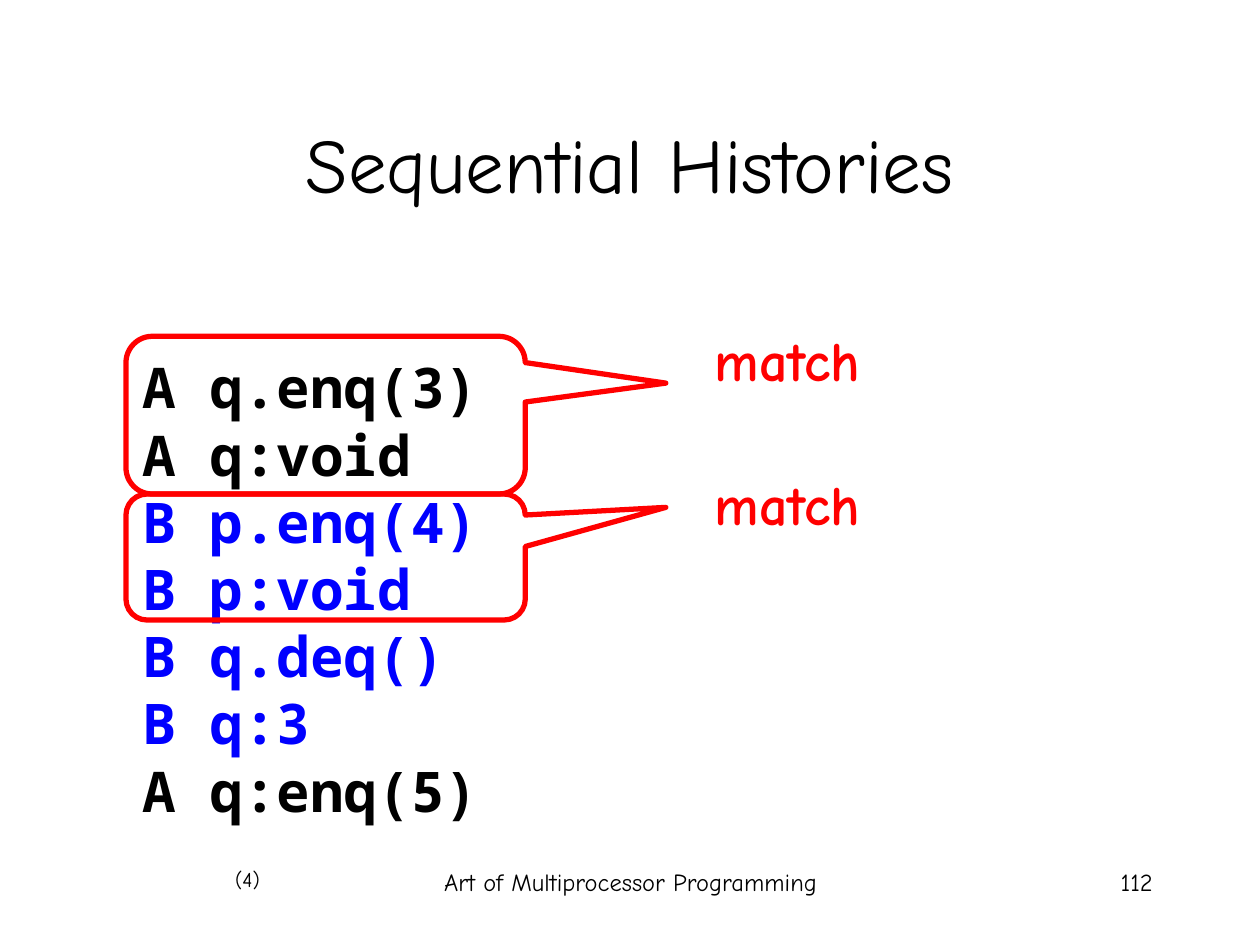
from pptx import Presentation
from pptx.dml.color import RGBColor
from pptx.enum.shapes import MSO_SHAPE
from pptx.enum.text import MSO_ANCHOR, PP_ALIGN
from pptx.util import Cm, Pt

CALLOUT = MSO_SHAPE.ROUNDED_RECTANGULAR_CALLOUT
TOP, MIDDLE = MSO_ANCHOR.TOP, MSO_ANCHOR.MIDDLE
LEFT, CENTER, RIGHT = PP_ALIGN.LEFT, PP_ALIGN.CENTER, PP_ALIGN.RIGHT

PROSE_FONT, CODE_FONT = "Comic Neue", "Noto Sans Mono"
BLACK, BLUE, RED = "000000", "0000FF", "FF0000"
THREAD_COLORS = {"A": BLACK, "B": BLUE}

HISTORY = [
    "A q.enq(3)",
    "A q:void",
    "B p.enq(4)",
    "B p:void",
    "B q.deq()",
    "B q:3",
    "A q:enq(5)",
]

# Callout top and height, pointer height, label top (cm)
MATCHES = [
    (6.78, 3.18, -0.203, 6.43),
    (9.96, 2.54, -0.394, 9.35),
]


def color(hex_value):
    return RGBColor.from_string(hex_value)


def add_text(shapes, box, lines, size, align=LEFT, font=PROSE_FONT,
             colors=(BLACK,), bold=False, anchor=TOP, wrap=True):
    """Add one paragraph per line; a single colour serves all lines."""
    frame = shapes.add_textbox(*map(Cm, box)).text_frame
    frame.word_wrap = wrap
    frame.vertical_anchor = anchor
    frame.text = "\n".join(lines)
    for index, paragraph in enumerate(frame.paragraphs):
        paragraph.alignment = align
        style = paragraph.runs[0].font
        style.name, style.size, style.bold = font, Pt(size), bold
        style.color.rgb = color(colors[index % len(colors)])


def add_match(slide, top, height, pointer, label_top):
    """Add a callout around a call and its response, with its label."""
    match = slide.shapes.add_group_shape().shapes
    callout = match.add_shape(CALLOUT, Cm(2.54), Cm(top), Cm(8.05), Cm(height))
    callout.shadow.inherit = False
    callout.fill.background()
    callout.line.color.rgb = color(RED)
    callout.line.width = Pt(3)
    for index, value in enumerate((0.852, pointer, 0.167)):
        callout.adjustments[index] = value
    add_text(match, (14.12, label_top, 3.48, 1.63), ["match"], 32, RIGHT,
             colors=(RED,), bold=True, wrap=False)


def main():
    deck = Presentation()
    deck.slide_width, deck.slide_height = Cm(25.4), Cm(19.05)
    slide = deck.slides.add_slide(deck.slide_layouts[6])
    shapes = slide.shapes

    # Footer and slide number
    add_text(shapes, (8.69, 17.35, 8.05, 1.27),
             ["Art of Multiprocessor Programming"], 14, CENTER)
    add_text(shapes, (18.21, 17.35, 5.28, 1.27), ["112"], 14, RIGHT)

    # Title
    add_text(shapes, (1.9, 1.7, 21.59, 3.18), ["Sequential Histories"], 44,
             CENTER, anchor=MIDDLE)

    # History, coloured by thread
    add_text(shapes, (2.62, 6.99, 7.75, 9.75), HISTORY, 32, font=CODE_FONT,
             colors=[THREAD_COLORS[event[0]] for event in HISTORY], bold=True)

    # Matching calls and responses
    for match in MATCHES:
        add_match(slide, *match)

    # Step count, wide enough to stay on one line
    add_text(shapes, (4.29, 17.35, 1.2, 0.76), ["(4)"], 12, RIGHT, wrap=False)

    deck.save("out.pptx")


main()
